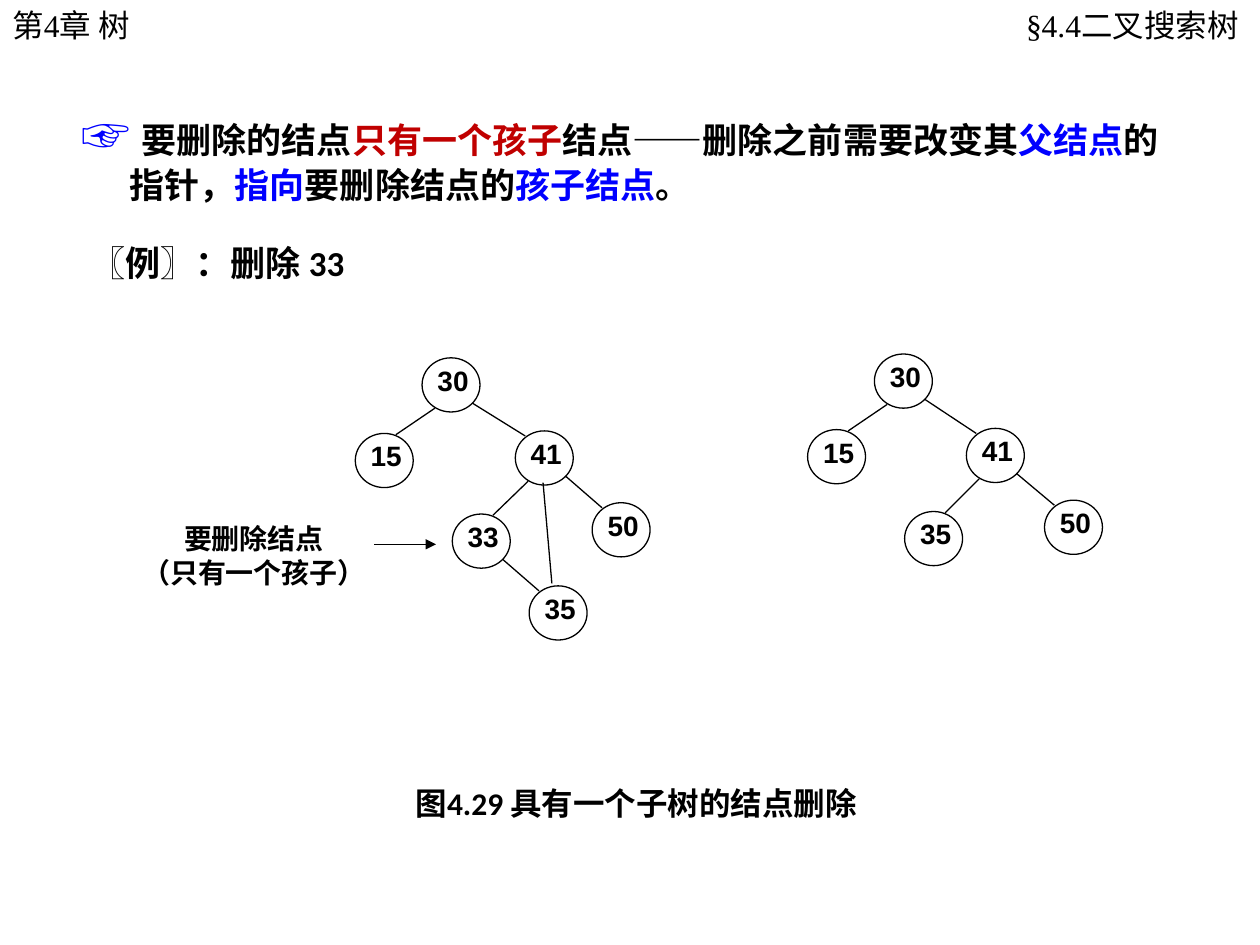
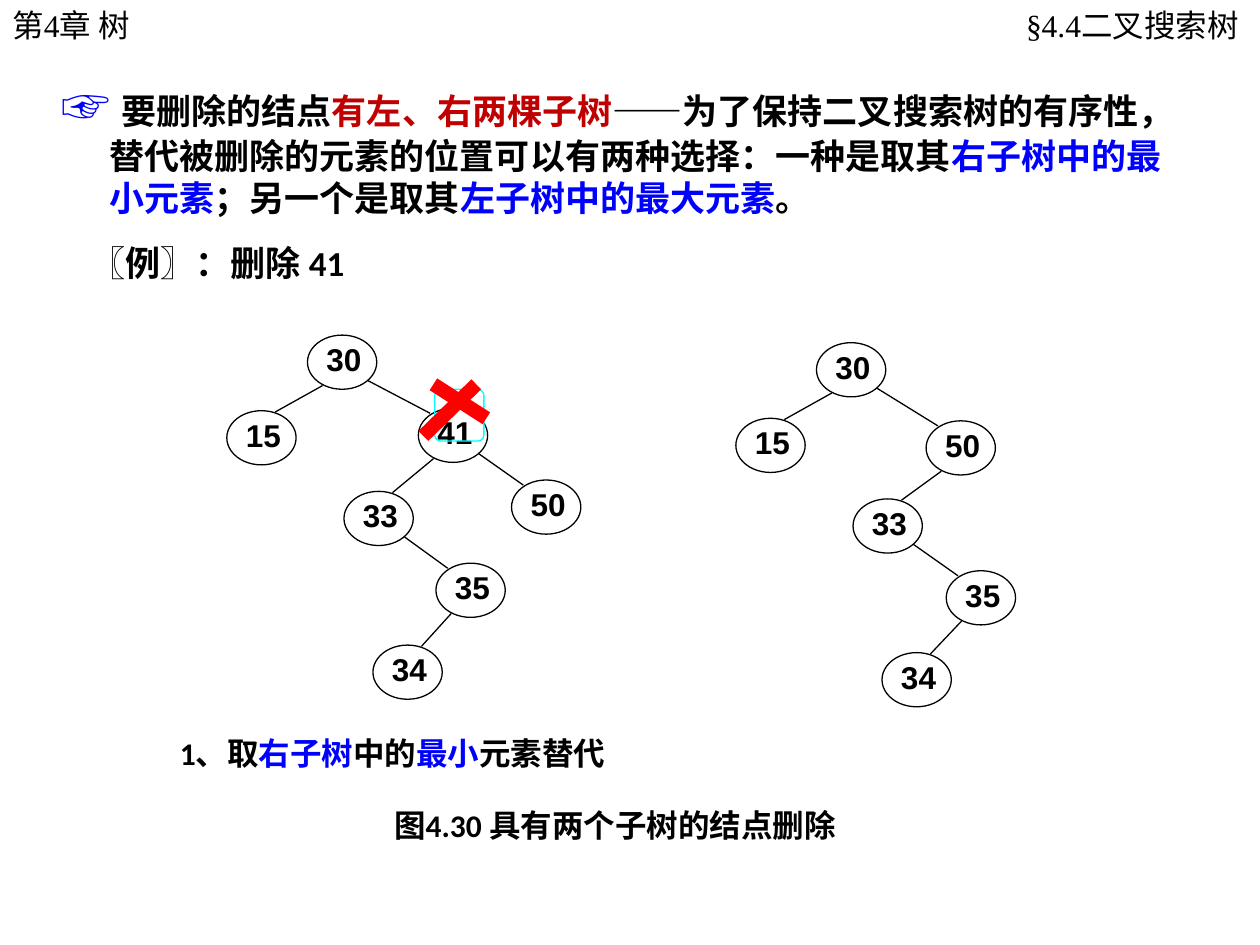
from dataclasses import dataclass
from typing import NamedTuple

from lxml.etree import SubElement
from pptx import Presentation
from pptx.dml.color import RGBColor
from pptx.enum.shapes import MSO_CONNECTOR as Conn, MSO_SHAPE as Shape
from pptx.enum.text import PP_ALIGN as Align
from pptx.oxml.ns import qn
from pptx.util import Emu, Pt

PX = 9144  # 100 px to the inch
BLACK, WHITE, BLUE, CRIMSON = "000000", "FFFFFF", "0000FF", "C00000"
RED, CYAN = "FF0000", "00FFFF"
LATIN, SERIF, NODE_FONT, CJK = "Calibri", "Times New Roman", "Arial", "Noto Sans CJK SC"
NODE_H, LABEL_H = 43, 25
HAND_INDENT = 38


class Box(NamedTuple):
    x: int
    y: int
    w: int
    h: int


class Run(NamedTuple):
    text: str
    color: str = BLACK
    size: int | None = None
    font: str | None = None


class Node(NamedTuple):
    key: str
    x: int
    y: int
    parent: str = ""


@dataclass(frozen=True)
class Style:
    """Size of a tree's nodes and of the labels inside them."""
    node_w: int
    label_dx: int
    label_w: int
    size: int


SMALL = Style(46, 12, 25, 16)
WIDE = Style(55, 14, 30, 18)

ONE_CHILD_BEFORE = [
    Node("30", 335, 284), Node("15", 282, 344, "30"), Node("41", 409, 342, "30"),
    Node("50", 470, 399, "41"), Node("33", 359, 408, "41"), Node("35", 420, 465, "33"),
]
ONE_CHILD_AFTER = [
    Node("30", 694, 281), Node("15", 641, 341, "30"), Node("41", 767, 340, "30"),
    Node("50", 829, 397, "41"), Node("35", 718, 406, "41"),
]
TWO_CHILDREN_BEFORE = [
    Node("30", 244, 266), Node("15", 180, 326, "30"), Node("41", 332, 324, "30"),
    Node("50", 406, 381, "41"), Node("33", 273, 390, "41"), Node("35", 346, 447, "33"),
    Node("34", 296, 512, "35"),
]
TWO_CHILDREN_AFTER = [
    Node("30", 648, 272), Node("15", 584, 332, "30"), Node("50", 735, 334, "30"),
    Node("33", 677, 396, "50"), Node("35", 751, 453, "33"), Node("34", 700, 518, "35"),
]


def px(n: float) -> Emu:
    return Emu(round(n * PX))


def rgb(color: str) -> RGBColor:
    return RGBColor.from_string(color)


def add_text(slide, box: Box, *paragraphs: list[Run], size: int = 18, font: str = LATIN,
             bold: bool = True, align=Align.LEFT, insets=(10, 5, 10, 5),
             spacing: float | None = None, hanging: int = 0, fill: str = ""):
    sp = slide.shapes.add_textbox(*map(px, box))
    if fill:
        sp.fill.solid()
        sp.fill.fore_color.rgb = rgb(fill)
    tf = sp.text_frame
    tf.word_wrap = True
    tf.margin_left, tf.margin_top, tf.margin_right, tf.margin_bottom = map(px, insets)
    for i, runs in enumerate(paragraphs):
        p = tf.add_paragraph() if i else tf.paragraphs[0]
        p.alignment = align
        if spacing:
            p.line_spacing = spacing
        if hanging:
            pPr = p._p.get_or_add_pPr()
            pPr.set("marL", str(px(hanging)))
            pPr.set("indent", str(-px(hanging)))
        for run in runs:
            r = p.add_run()
            r.text = run.text
            r.font.size = Pt(run.size or size)
            r.font.bold = bold
            r.font.color.rgb = rgb(run.color)
            r.font.name = run.font or font
            SubElement(r._r.get_or_add_rPr(), qn("a:ea"), typeface=CJK)
    return sp


def add_line(slide, x1: float, y1: float, x2: float, y2: float, color: str = BLACK,
             width: float = 0.75, arrow: bool = False):
    line = slide.shapes.add_connector(Conn.STRAIGHT, px(x1), px(y1), px(x2), px(y2))
    line.line.color.rgb = rgb(color)
    line.line.width = Pt(width)
    if arrow:
        SubElement(line.line._get_or_add_ln(), qn("a:tailEnd"), type="triangle")
    SubElement(line._element.spPr, qn("a:effectLst"))


def add_outline(slide, kind, box: Box, color: str = BLACK, fill: str = ""):
    sp = slide.shapes.add_shape(kind, *map(px, box))
    sp.shadow.inherit = False
    if fill:
        sp.fill.solid()
        sp.fill.fore_color.rgb = rgb(fill)
    else:
        sp.fill.background()
    sp.line.color.rgb = rgb(color)
    sp.line.width = Pt(0.75)
    return sp


def add_edge(slide, parent: Node, child: Node, w: int) -> None:
    """Join the lower side of the parent to the facing upper side of the child."""
    if child.x < parent.x:
        start, end = (0.22 * w, 40), (0.7 * w, 1)
    else:
        start, end = (0.87 * w, 36), (0.17 * w, 4)
    add_line(slide, parent.x + start[0], parent.y + start[1],
             child.x + end[0], child.y + end[1])


def add_tree(slide, nodes: list[Node], style: Style) -> None:
    by_key = {node.key: node for node in nodes}
    for node in nodes:
        add_outline(slide, Shape.OVAL, Box(node.x, node.y, style.node_w, NODE_H), fill=WHITE)
        label = Box(node.x + style.label_dx, node.y + 6, style.label_w, LABEL_H)
        add_text(slide, label, [Run(node.key)], size=style.size, font=NODE_FONT,
                 align=Align.CENTER, insets=(0, 0, 0, 0), spacing=0.96, fill=WHITE)
    for node in nodes:
        if node.parent:
            add_edge(slide, by_key[node.parent], node, style.node_w)


def add_page(prs, rule_box: Box, rule: list[Run], deleted: str, caption: str,
             caption_x: int, caption_y: int):
    """Add a slide with the running heads, the rule, the example and the caption."""
    slide = prs.slides.add_slide(prs.slide_layouts[6])
    add_text(slide, Box(0, 0, 209, 40), [Run("第4章 树")], font=SERIF, bold=False)
    add_text(slide, Box(618, 0, 381, 40), [Run("§4.4二叉搜索树")], font=SERIF, bold=False,
             align=Align.RIGHT, insets=(12, 5, 16, 5))
    add_text(slide, Box(caption_x, caption_y, 374, 40), [Run(caption)])
    add_text(slide, rule_box, [Run("☞ ", BLUE, 28), Run("要删除的结点"), *rule],
             size=20, hanging=HAND_INDENT)
    add_text(slide, Box(62, 187, 225, 44), [Run(f"〖例〗：删除 {deleted}")], size=20)
    return slide


def add_one_child_slide(prs) -> None:
    rule = [
        Run("只有一个孩子", CRIMSON), Run("结点——删除之前需要改变其"), Run("父结点", BLUE),
        Run("的指针，"), Run("指向", BLUE), Run("要删除结点的"), Run("孩子结点", BLUE), Run("。"),
    ]
    slide = add_page(prs, Box(55, 78, 891, 91), rule, "33",
                     "图4.29 具有一个子树的结点删除", 320, 617)
    add_text(slide, Box(109, 414, 185, 48), [Run("要删除结点", font=CJK)],
             [Run("（只有一个孩子）")], size=16, font=NODE_FONT, align=Align.CENTER,
             insets=(0, 0, 0, 0))
    add_line(slide, 297, 432, 346, 432, arrow=True)
    add_tree(slide, ONE_CHILD_BEFORE, SMALL)
    add_line(slide, 431, 383, 438, 463)  # new link from 41 to 35
    add_tree(slide, ONE_CHILD_AFTER, SMALL)


def add_two_children_slide(prs) -> None:
    rule = [
        Run("有左、右两棵子树", CRIMSON),
        Run("——为了保持二叉搜索树的有序性，替代被删除的元素的位置可以有两种选择：一种是取其"),
        Run("右子树中的最小元素", BLUE), Run("；另一个是取其"),
        Run("左子树中的最大元素", BLUE), Run("。"),
    ]
    slide = add_page(prs, Box(39, 55, 906, 125), rule, "41",
                     "图4.30 具有两个子树的结点删除", 303, 635)
    add_tree(slide, TWO_CHILDREN_BEFORE, WIDE)
    frame = add_outline(slide, Shape.ROUNDED_RECTANGLE, Box(345, 309, 39, 41), CYAN)
    frame.adjustments[0] = 0.12
    add_line(slide, 344, 305, 386, 332, RED, 8)
    add_line(slide, 336, 346, 378, 305, RED, 8)
    add_text(slide, Box(133, 578, 363, 40),
             [Run("1、取"), Run("右子树", BLUE), Run("中的"), Run("最小", BLUE), Run("元素替代")])
    add_tree(slide, TWO_CHILDREN_AFTER, WIDE)


def main() -> None:
    prs = Presentation()
    prs.slide_width, prs.slide_height = px(1000), px(750)
    add_one_child_slide(prs)
    add_two_children_slide(prs)
    prs.save("out.pptx")


if __name__ == "__main__":
    main()
